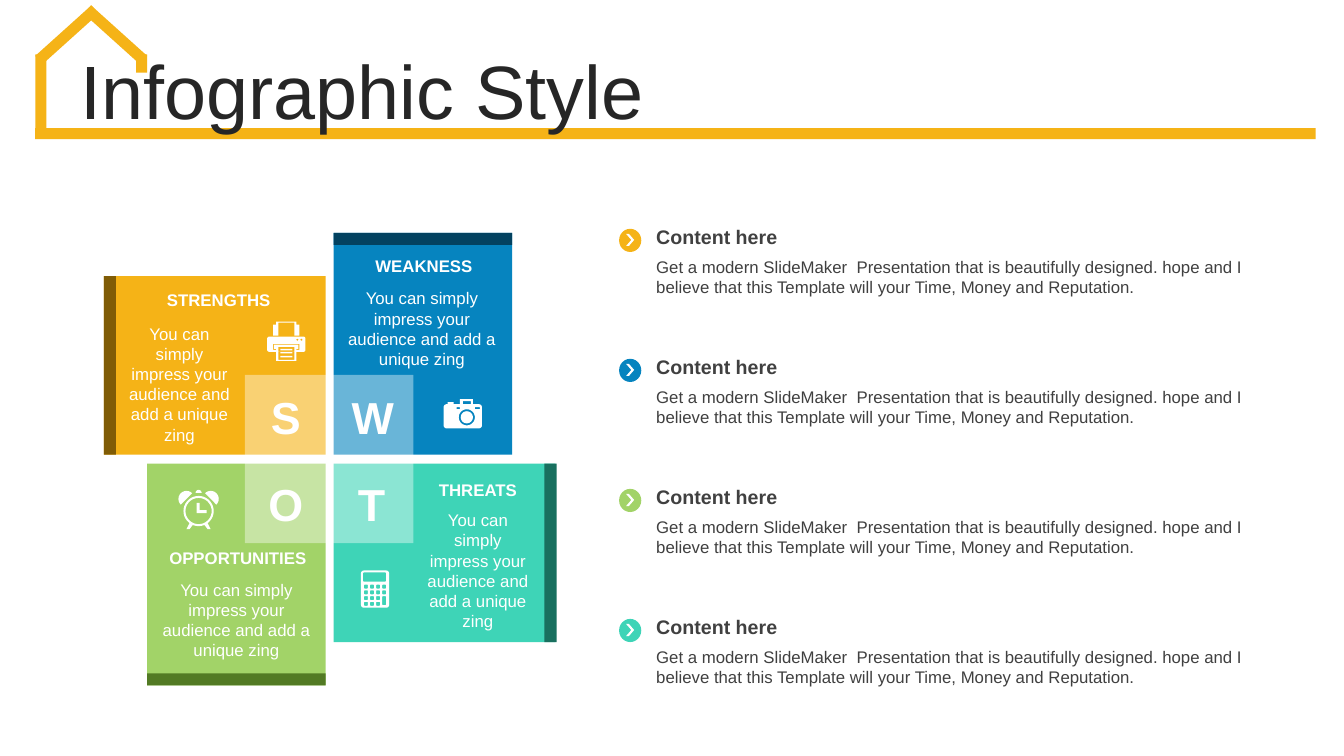
from math import cos, radians, sin

from lxml.etree import SubElement
from pptx import Presentation
from pptx.dml.color import RGBColor
from pptx.enum.shapes import MSO_SHAPE
from pptx.enum.text import MSO_ANCHOR, MSO_AUTO_SIZE, PP_ALIGN
from pptx.oxml.ns import qn
from pptx.util import Inches, Pt

AMBER, BLUE, GREEN, TEAL = "F5B317", "0684BF", "A2D368", "3ED4B7"
WHITE, INK, GREY = "FFFFFF", "262626", "404040"
PITCH = "You can simply impress your audience and add a unique zing"
DETAIL = ("Get a modern SlideMaker  Presentation that is beautifully designed. hope and "
          "I believe that this Template will your Time, Money and Reputation.")


def color(value):
    return RGBColor.from_string(value)


# Outlines for the icons, in inches
def arc(x, y, radius, start, end, steps=12):
    angles = [radians(start + (end - start) * i / steps) for i in range(steps + 1)]
    return [(x + radius * cos(a), y + radius * sin(a)) for a in angles]


def block(left, top, width, height, radius=0):
    right, bottom = left + width, top + height
    if not radius:
        return [(left, top), (right, top), (right, bottom), (left, bottom)]
    corners = [(right - radius, bottom - radius), (left + radius, bottom - radius),
               (left + radius, top + radius), (right - radius, top + radius)]
    return [point for i, (x, y) in enumerate(corners)
            for point in arc(x, y, radius, 90 * i, 90 * i + 90, 6)]


def disc(x, y, radius):
    return arc(x, y, radius, 0, 360, 36)


def mirror(outline, axis):
    return [(2 * axis - x, y) for x, y in outline]


class SlideBuilder:
    font = "Arial"

    def __init__(self, page):
        self.page = page

    def paint(self, shape, fill, alpha=None):
        shape.shadow.inherit = False
        shape.fill.solid()
        shape.fill.fore_color.rgb = color(fill)
        shape.line.fill.background()
        if alpha is not None:
            tint = shape.fill._xPr.find(qn("a:solidFill"))[0]
            SubElement(tint, qn("a:alpha"), val=str(alpha * 1000))

    def shape(self, place, fill, kind=MSO_SHAPE.RECTANGLE, rotation=0, alpha=None):
        shape = self.page.shapes.add_shape(kind, *map(Inches, place))
        shape.rotation = rotation
        self.paint(shape, fill, alpha)
        return shape

    def icon(self, outlines, fill=WHITE):
        points = [[(Inches(x), Inches(y)) for x, y in outline] for outline in outlines]
        builder = self.page.shapes.build_freeform(*points[0][0], scale=1.0)
        for i, outline in enumerate(points):
            if i:
                builder.move_to(*outline[0])
            builder.add_line_segments(outline[1:], close=True)
        self.paint(builder.convert_to_shape(), fill)

    def text(self, place, words, size, ink=WHITE, bold=False, align=PP_ALIGN.CENTER,
             anchor=MSO_ANCHOR.TOP, fit=MSO_AUTO_SIZE.SHAPE_TO_FIT_TEXT, **spacing):
        box = self.page.shapes.add_textbox(*map(Inches, place))
        frame = box.text_frame
        para = frame.paragraphs[0]
        span = para.add_run()
        span.text = words
        span.font.color.rgb = color(ink)
        formats = (
            (frame, {"word_wrap": True, "auto_size": fit, "vertical_anchor": anchor}),
            (para, {"alignment": align, **spacing}),
            (span.font, {"name": self.font, "size": Pt(size), "bold": bold}),
        )
        for target, values in formats:
            for name, value in values.items():
                setattr(target, name, value)


def draw_header(slide):
    # House outline and title
    for place, rotation in (((0.35, 1.27, 12.7, 0.11), 0), ((0.35, 0.54, 0.11, 0.8), 0),
                            ((1.35, 0.54, 0.11, 0.18), 0), ((0.61, -0.03, 0.11, 0.75), 48),
                            ((1.09, -0.03, 0.11, 0.75), 312)):
        slide.shape(place, AMBER, rotation=rotation)
    slide.text((0.7, 0.55, 12.31, 0.79), "Infographic Style", 54, INK, align=PP_ALIGN.LEFT,
               anchor=MSO_ANCHOR.MIDDLE, fit=MSO_AUTO_SIZE.NONE,
               line_spacing=0.9, space_before=Pt(10))


def draw_swot(slide):
    # Panels with their dark edges
    panels = (
        ((1.03, 2.74, 2.2, 1.77), AMBER, (1.03, 2.74, 0.12, 1.77), "805C06"),
        ((3.31, 4.6, 2.2, 1.77), TEAL, (5.4, 4.6, 0.12, 1.77), "19705F"),
        ((3.31, 2.31, 1.77, 2.2), BLUE, (3.31, 2.31, 1.77, 0.12), "034260"),
        ((1.46, 4.6, 1.77, 2.2), GREEN, (1.46, 6.68, 1.77, 0.12), "527A24"),
    )
    for panel, fill, edge, dark in panels:
        slide.shape(panel, fill)
        slide.shape(edge, dark)

    # Central square with the four letters
    slide.shape((2.43, 3.72, 1.67, 1.67), WHITE, alpha=40)
    for i, letter in enumerate("SWOT"):
        row, column = divmod(i, 2)
        slide.text((2.54 + 0.85 * column, 3.82 + 0.86 * row, 0.59, 0.64), letter, 32, bold=True)

    # Panel headings and texts
    captions = (
        ("STRENGTHS", (1.14, 2.83, 2.06, 0.3), (1.14, 3.16, 1.28, 1.31)),
        ("WEAKNESS", (3.39, 2.49, 1.63, 0.3), (3.33, 2.81, 1.71, 0.91)),
        ("OPPORTUNITIES", (1.51, 5.38, 1.7, 0.3), (1.49, 5.7, 1.71, 0.91)),
        ("THREATS", (4.1, 4.71, 1.28, 0.3), (4.1, 5.01, 1.28, 1.31)),
    )
    for heading, heading_place, pitch_place in captions:
        slide.text(heading_place, heading, 12, bold=True)
        slide.text(pitch_place, PITCH, 12)


def draw_list(slide):
    # Bulleted list on the right
    for i, fill in enumerate((AMBER, BLUE, GREEN, TEAL)):
        top = 2.18 + 1.29 * i
        slide.shape((6.14, top + 0.09, 0.22, 0.23), fill, MSO_SHAPE.OVAL)
        chevron = slide.shape((6.21, top + 0.14, 0.08, 0.12), WHITE, MSO_SHAPE.CHEVRON)
        chevron.adjustments[0] = 0.65
        slide.text((6.41, top, 6.02, 0.34), "Content here", 14, GREY, bold=True,
                   align=PP_ALIGN.LEFT, anchor=MSO_ANCHOR.MIDDLE)
        slide.text((6.41, top + 0.32, 6.02, 0.5), DETAIL, 12, GREY, align=PP_ALIGN.LEFT)


def draw_icons(slide):
    # Alarm clock
    axis = 1.97
    bell = arc(1.85, 4.95, 0.08, 135, 315)
    leg = [(1.91, 5.21), (1.88, 5.25), (1.85, 5.25), (1.88, 5.19)]
    hands = [(1.95, 4.99), (1.98, 4.99), (1.98, 5.06), (2.05, 5.06), (2.05, 5.09), (1.95, 5.09)]
    slide.icon([disc(axis, 5.07, 0.15), disc(axis, 5.07, 0.13), hands, bell, mirror(bell, axis),
                leg, mirror(leg, axis), arc(axis, 4.89, 0.03, 180, 360)])

    # Calculator, whose last key is two rows high
    keys = [block(3.61 + 0.06 * column, 5.8 + 0.057 * row, 0.04,
                  0.09 if (column, row) == (3, 2) else 0.04, 0.01)
            for row in range(4) for column in range(4) if (column, row) != (3, 3)]
    slide.icon([block(3.58, 5.66, 0.28, 0.37, 0.03), block(3.6, 5.68, 0.23, 0.09, 0.01), *keys])

    # Printer
    slot = [(2.71, 3.41), (2.71, 3.47), (2.74, 3.47), (2.74, 3.46), (2.72, 3.46), (2.72, 3.42),
            (2.96, 3.42), (2.96, 3.46), (2.94, 3.46), (2.94, 3.47), (2.97, 3.47), (2.97, 3.41)]
    feeder = [(2.74, 3.19), (2.94, 3.19), (2.94, 3.22), (2.97, 3.22), (2.97, 3.33), (2.92, 3.33),
              (2.92, 3.2), (2.76, 3.2), (2.76, 3.33), (2.71, 3.33), (2.71, 3.22), (2.74, 3.22)]
    lines = [block(2.78, top, 0.12, 0.015) for top in (3.46, 3.49, 3.53)]
    slide.icon([block(2.65, 3.34, 0.38, 0.15, 0.02), block(2.74, 3.49, 0.2, 0.09),
                block(2.76, 3.44, 0.16, 0.13), *lines, slot, feeder,
                disc(2.95, 3.37, 0.01), disc(2.99, 3.37, 0.01)])

    # Camera
    slide.icon([block(4.4, 4.01, 0.38, 0.24, 0.03), block(4.56, 3.96, 0.13, 0.05),
                block(4.44, 3.99, 0.06, 0.02), block(4.59, 3.98, 0.08, 0.03),
                block(4.53, 4.04, 0.03, 0.02), block(4.71, 4.04, 0.05, 0.02),
                disc(4.63, 4.14, 0.08), disc(4.63, 4.14, 0.06)])


def main():
    deck = Presentation()
    deck.slide_width, deck.slide_height = Inches(13.33), Inches(7.5)
    slide = SlideBuilder(deck.slides.add_slide(deck.slide_layouts[6]))
    draw_header(slide)
    draw_swot(slide)
    draw_list(slide)
    draw_icons(slide)
    deck.save("out.pptx")


if __name__ == "__main__":
    main()
